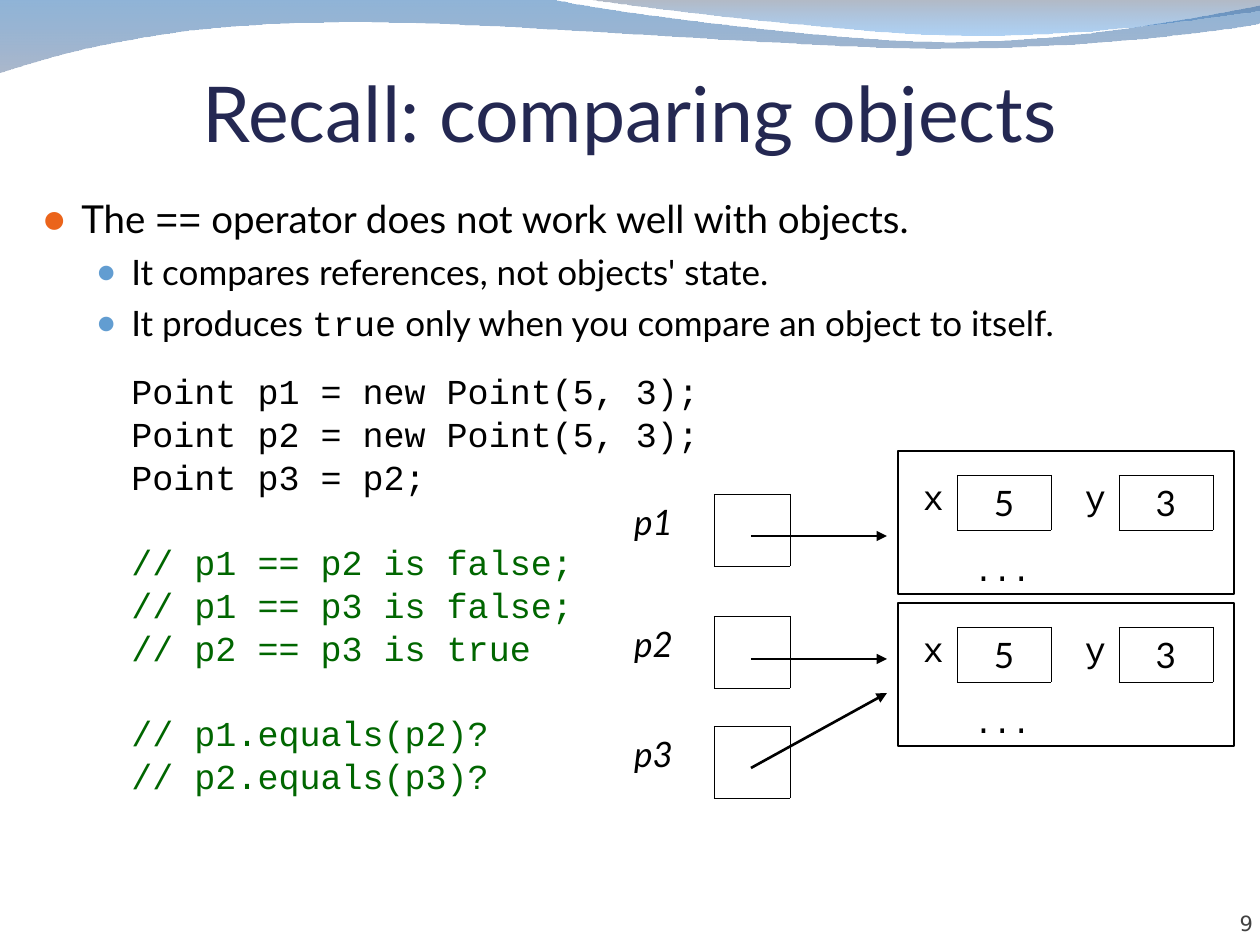
from lxml import etree
from pptx import Presentation
from pptx.dml.color import RGBColor
from pptx.enum.shapes import MSO_CONNECTOR, MSO_SHAPE
from pptx.enum.text import MSO_ANCHOR, PP_ALIGN
from pptx.oxml.ns import qn
from pptx.util import Emu, Pt

BOTTOM = MSO_ANCHOR.BOTTOM
LEFT, CENTER, RIGHT = PP_ALIGN.LEFT, PP_ALIGN.CENTER, PP_ALIGN.RIGHT
RECTANGLE, STRAIGHT = MSO_SHAPE.RECTANGLE, MSO_CONNECTOR.STRAIGHT

BLACK = RGBColor(0x00, 0x00, 0x00)
NAVY = RGBColor(0x24, 0x28, 0x52)
GRAY = RGBColor(0x42, 0x42, 0x42)
GREEN = RGBColor(0x00, 0x66, 0x00)
ORANGE = RGBColor(0xEB, 0x64, 0x1B)
SKY = RGBColor(0x62, 0x9D, 0xD1)
WAVE_BLUE = RGBColor(0x0E, 0x5C, 0xA9)
WAVE_STEEL = RGBColor(0x68, 0x7F, 0xA3)
CREST_GRAY = RGBColor(0x57, 0x66, 0x80)
CREST_BLUE = RGBColor(0x04, 0x6F, 0xDA)

SANS, MONO, NUMBER_FONT = "Lato", "Courier New", "DejaVu Sans"
PX_PER_INCH = 126

# Outlines: one point is a straight side, three points are a Bezier curve
WAVE = [[(0, 0)], [(554, 0)],
        [(600, 11), (835, 42), (955, 42)], [(1075, 42), (1207, 16), (1260, 6)],
        [(1260, 24)],
        [(1238, 29), (1096, 49), (940, 49)], [(784, 49), (481, 19), (324, 23)],
        [(163, 24), (58, 54), (0, 73)]]
CREST = [[(588, 0)],
         [(627, 6), (849, 33), (961, 35)], [(1074, 38), (1210, 18), (1260, 11)],
         [(1260, 0)]]

TOP_BULLET = dict(color=ORANGE, size=95, left=38, hanging=38)
SUB_BULLET = dict(color=SKY, size=85, left=88, hanging=34)
BULLETS = [
    (TOP_BULLET, 22, 0, [("The ", SANS), ("==", MONO),
                         (" operator does not work well with objects.", SANS)]),
    (SUB_BULLET, 20, 5.1, [("It compares references, not objects' state.", SANS)]),
    (SUB_BULLET, 20, 5.1, [("It produces ", SANS), ("true", MONO),
                           (" only when you compare an object to itself.", SANS)]),
]
CODE_GROUPS = [
    (BLACK, 19.6, ["Point p1 = new Point(5, 3);", "Point p2 = new Point(5, 3);",
                   "Point p3 = p2;"]),
    (GREEN, 29.6, ["// p1 == p2 is false;", "// p1 == p3 is false;",
                   "// p2 == p3 is true"]),
    (GREEN, 29.6, ["// p1.equals(p2)?", "// p2.equals(p3)?"]),
]
OBJECT_TOPS = (451, 603)
# Name, top of its row, start and end height of its arrow
REFERENCES = [("p1", 494, 536, 536), ("p2", 616, 659, 659), ("p3", 726, 768, 693)]


def px(length):
    return Emu(round(length * 914400 / PX_PER_INCH))


def assign(target, **values):
    for name, value in values.items():
        setattr(target, name, value)


def add_span(para, text, font, size, color=BLACK, italic=False):
    span = para.add_run()
    span.text = text
    assign(span.font, name=font, size=Pt(size), italic=italic)
    span.font.color.rgb = color


def add_box(page, left, top, width, height, **frame_format):
    box = page.shapes.add_textbox(px(left), px(top), px(width), px(height))
    assign(box.text_frame, word_wrap=True, **frame_format)
    return box.text_frame


def indent(para, left, hanging=0):
    properties = para._p.get_or_add_pPr()
    properties.set("marL", str(px(left)))
    properties.set("indent", str(-px(hanging)))
    return properties


def add_bullet(para, color, size, left, hanging):
    properties = indent(para, left, hanging)
    tint = etree.SubElement(properties, qn("a:buClr"))
    etree.SubElement(tint, qn("a:srgbClr"), val=str(color))
    etree.SubElement(properties, qn("a:buSzPct"), val=str(size * 1000))
    etree.SubElement(properties, qn("a:buFont"), typeface=SANS)
    etree.SubElement(properties, qn("a:buChar"), char="●")


def add_wave(page, outline, stops):
    corners = [(px(x), px(y)) for x, y in (segment[-1] for segment in outline)]
    builder = page.shapes.build_freeform(*corners[0])
    builder.add_line_segments(corners[1:], close=True)
    wave = builder.convert_to_shape()

    # Bend the sides that have control points
    sides = list(wave._element.iter(qn("a:lnTo")))
    for side, segment in zip(sides, outline[1:]):
        if len(segment) == 3:
            side.tag = qn("a:cubicBezTo")
            for index, (x, y) in enumerate(segment[:2]):
                control = etree.Element(qn("a:pt"), x=str(px(x) - wave.left),
                                        y=str(px(y) - wave.top))
                side.insert(index, control)

    wave.shadow.inherit = False
    wave.line.fill.background()
    wave.fill.gradient()
    wave.fill.gradient_angle = 270
    for stop, (color, _) in zip(wave.fill.gradient_stops, stops):
        stop.color.rgb = color
    tints = wave._element.spPr.iter(qn("a:srgbClr"))
    for tint, (_, opacity) in zip(tints, stops):
        etree.SubElement(tint, qn("a:alpha"), val=str(opacity * 1000))


def add_row_table(page, left, top, height, widths, cells, framed):
    """Lay out one row of (text, font, italic) cells, with outlines on the framed ones."""
    frame = page.shapes.add_table(1, len(widths), px(left), px(top),
                                  px(sum(widths)), px(height))
    table = frame.table
    assign(table, first_row=False, horz_banding=False)
    table.rows[0].height = px(height)
    for index, (width, (text, font, italic)) in enumerate(zip(widths, cells)):
        table.columns[index].width = px(width)
        cell = table.cell(0, index)
        inside = index in framed
        edges = dict(lnL=inside or index - 1 in framed,
                     lnR=inside or index + 1 in framed, lnT=inside, lnB=inside)
        for edge, visible in edges.items():
            line = etree.SubElement(cell._tc.get_or_add_tcPr(), qn(f"a:{edge}"),
                                    w=str(Pt(0.23)))
            fill = etree.SubElement(line, qn("a:solidFill" if visible else "a:noFill"))
            if visible:
                etree.SubElement(fill, qn("a:srgbClr"), val=str(BLACK))
        cell.fill.background()
        if text:
            para = cell.text_frame.paragraphs[0]
            assign(para, alignment=CENTER, line_spacing=0.94 if font == MONO else 1.01)
            add_span(para, text, font, 20, italic=italic)


def add_object(page, top):
    box = page.shapes.add_shape(RECTANGLE, px(898), px(top), px(336), px(143))
    box.shadow.inherit = False
    box.fill.background()
    box.line.color.rgb = BLACK
    box.line.width = Pt(0.75)
    assign(box.text_frame, vertical_anchor=BOTTOM, margin_left=px(76),
           margin_bottom=px(6))
    para = box.text_frame.paragraphs[0]
    para.alignment = LEFT
    add_span(para, "...", MONO, 18)
    fields = [("x", MONO, False), ("5", SANS, False),
              (" y", MONO, False), ("3", SANS, False)]
    add_row_table(page, 910, top + 24, 55, (47, 94, 68, 94), fields, {1, 3})


def add_arrow(page, start, end):
    arrow = page.shapes.add_connector(STRAIGHT, *map(px, start + end))
    arrow.line.color.rgb = BLACK
    arrow.line.width = Pt(1.5)
    properties = arrow._element.spPr
    etree.SubElement(properties.find(qn("a:ln")), qn("a:tailEnd"), type="triangle")
    etree.SubElement(properties, qn("a:effectLst"))


def add_body(page):
    frame = add_box(page, 31, 189, 1229, 714)
    para = frame.paragraphs[0]
    for bullet, size, before, spans in BULLETS:
        if before:
            para = frame.add_paragraph()
        add_bullet(para, **bullet)
        para.space_before = Pt(before)
        for text, font in spans:
            add_span(para, text, font, size)
    for color, gap, lines in CODE_GROUPS:
        for index, text in enumerate(lines):
            para = frame.add_paragraph()
            indent(para, SUB_BULLET["left"])
            assign(para, line_spacing=0.8, space_before=Pt(5.3 if index else gap))
            add_span(para, text, MONO, 20, color)


def add_line_box(page, place, text, font, size, color, alignment):
    frame = add_box(page, *place, vertical_anchor=BOTTOM, margin_left=0,
                    margin_right=0, margin_top=0, margin_bottom=0)
    frame.paragraphs[0].alignment = alignment
    add_span(frame.paragraphs[0], text, font, size, color)


def main():
    deck = Presentation()
    assign(deck, slide_width=px(1260), slide_height=px(945))
    page = deck.slides.add_slide(deck.slide_layouts[6])

    # Header waves, page number and title
    add_wave(page, WAVE, [(WAVE_BLUE, 46), (WAVE_STEEL, 56)])
    add_wave(page, CREST, [(CREST_GRAY, 46), (CREST_BLUE, 31)])
    add_line_box(page, (1148, 886, 105, 50), "9", NUMBER_FONT, 12, GRAY, RIGHT)
    add_line_box(page, (63, 61, 1134, 97), "Recall: comparing objects",
                 SANS, 44, NAVY, CENTER)

    # Bullets and code
    add_body(page)

    # Objects and the references to them
    for top in OBJECT_TOPS:
        add_object(page, top)
    for name, top, start, end in REFERENCES:
        cells = [(name, SANS, True), ("", SANS, False)]
        add_row_table(page, 593, top, 72, (121, 76), cells, {1})
        add_arrow(page, (751, start), (887, end))

    deck.save("out.pptx")


if __name__ == "__main__":
    main()
